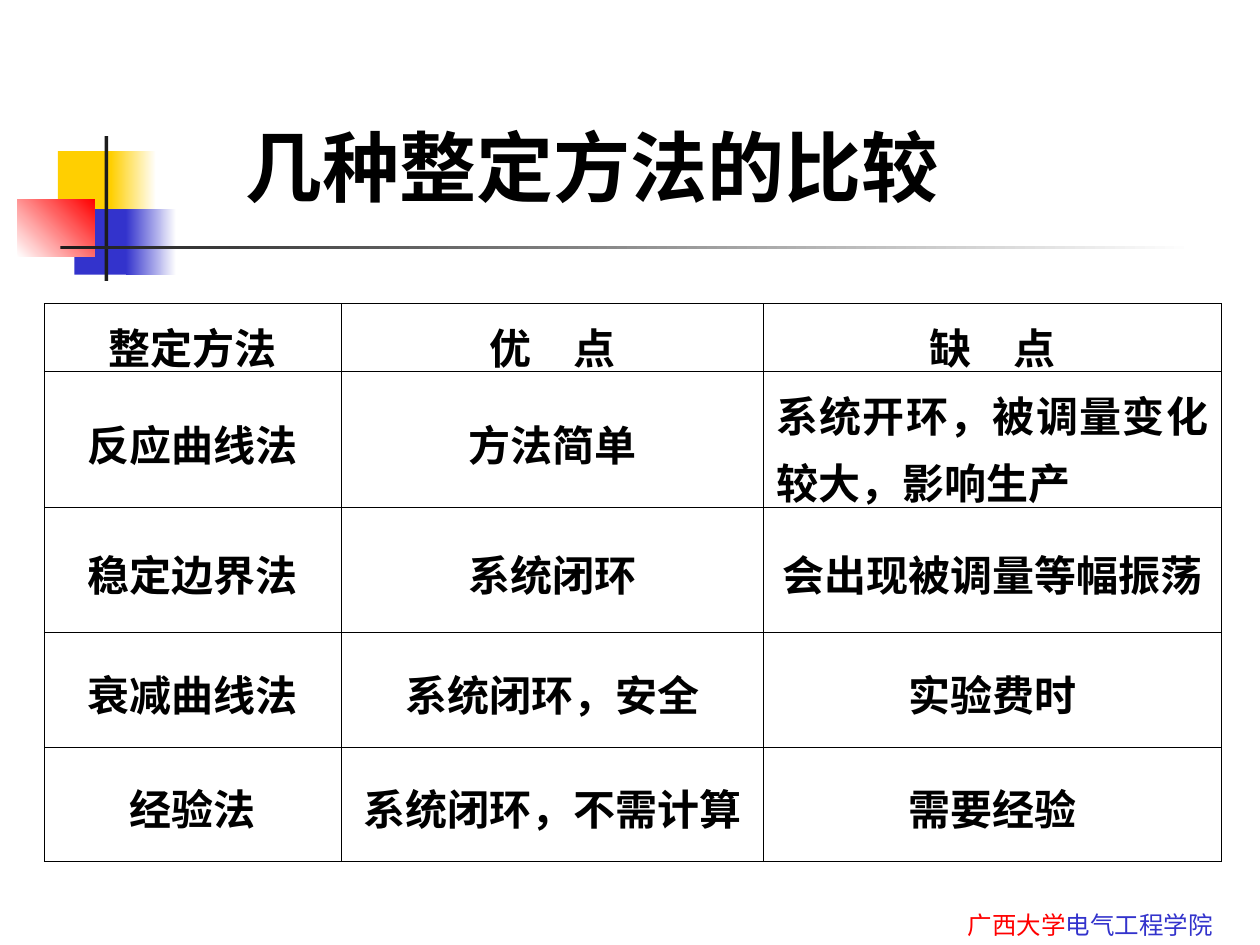
from lxml.etree import SubElement
from pptx import Presentation
from pptx.dml.color import RGBColor
from pptx.enum.shapes import MSO_SHAPE
from pptx.enum.text import MSO_ANCHOR, MSO_AUTO_SIZE, PP_ALIGN
from pptx.oxml.ns import qn
from pptx.util import Inches, Pt

COLORS = {
    "black": "000000",
    "ink": "1C1C1C",
    "white": "FFFFFF",
    "yellow": "FFCF01",
    "blue": "3333CC",
    "red": "FF0000",
}
CHINESE_FONT = "Noto Sans CJK SC"

TABLE_COLUMNS = [23.6, 33.5, 36.3]
TABLE_ROWS = [5.4, 10.8, 9.9, 9.1, 9.1]
COMPARISON = [
    ["整定方法", "优　点", "缺　点"],
    ["反应曲线法", "方法简单", "系统开环，被调量变化较大，影响生产"],
    ["稳定边界法", "系统闭环", "会出现被调量等幅振荡"],
    ["衰减曲线法", "系统闭环，安全", "实验费时"],
    ["经验法", "系统闭环，不需计算", "需要经验"],
]
JUSTIFIED_CELL = (1, 2)


def color(name):
    return RGBColor.from_string(COLORS[name])


def add_text(para, text, size, font, fill="black", bold=False):
    span = para.add_run()
    span.text = text
    span.font.size = Pt(size)
    span.font.bold = bold
    span.font.name = font
    span.font.color.rgb = color(fill)
    SubElement(span.font._element, qn("a:ea"), typeface=CHINESE_FONT)


class SlideBuilder:
    """Places elements on a grid of 100 columns by 75 rows."""

    def __init__(self, deck):
        self.unit = deck.slide_width / 100
        self.page = deck.slides.add_slide(deck.slide_layouts[6])

    def grid(self, *cells):
        return [round(cell * self.unit) for cell in cells]

    def block(self, place, start, end=None, angle=0):
        shape = self.page.shapes.add_shape(MSO_SHAPE.RECTANGLE, *self.grid(*place))
        shape.shadow.inherit = False
        shape.line.fill.background()
        if end is None:
            shape.fill.solid()
            shape.fill.fore_color.rgb = color(start)
            return
        shape.fill.gradient()
        shape.fill.gradient_angle = angle
        for stop, name in zip(shape.fill.gradient_stops, (start, end)):
            stop.color.rgb = color(name)

    def text(self, place, spans, align=PP_ALIGN.LEFT, wrap=True, **style):
        box = self.page.shapes.add_textbox(*self.grid(*place))
        frame = box.text_frame
        frame.word_wrap = wrap
        frame.auto_size = MSO_AUTO_SIZE.SHAPE_TO_FIT_TEXT
        para = frame.paragraphs[0]
        para.alignment = align
        for text, fill in spans:
            add_text(para, text, fill=fill, **style)

    def border(self, cell, width):
        properties = cell._tc.get_or_add_tcPr()
        for side in ("lnL", "lnR", "lnT", "lnB"):
            line = SubElement(properties, qn(f"a:{side}"), w=str(Pt(width)))
            fill = SubElement(line, qn("a:solidFill"))
            SubElement(fill, qn("a:srgbClr"), val=COLORS["black"])

    def table(self, left, top, columns, rows, content):
        place = self.grid(left, top, sum(columns), sum(rows))
        table = self.page.shapes.add_table(len(rows), len(columns), *place).table
        table.first_row = table.horz_banding = False
        for column, width in zip(table.columns, self.grid(*columns)):
            column.width = width
        for row, height in zip(table.rows, self.grid(*rows)):
            row.height = height
        for r, texts in enumerate(content):
            for c, text in enumerate(texts):
                cell = table.cell(r, c)
                self.border(cell, 0.45)
                cell.fill.background()
                cell.vertical_anchor = MSO_ANCHOR.MIDDLE
                para = cell.text_frame.paragraphs[0]
                justified = (r, c) == JUSTIFIED_CELL
                para.alignment = PP_ALIGN.JUSTIFY if justified else PP_ALIGN.CENTER
                para.line_spacing = 1.1
                add_text(para, text, size=24, font="Roboto", bold=True)


def main():
    deck = Presentation()
    deck.slide_width, deck.slide_height = Inches(10), Inches(7.5)
    slide = SlideBuilder(deck)

    # Overlapping colour blocks and the two rules
    slide.block((4.6, 12, 4.8, 5.2), "yellow")
    slide.block((8.8, 12, 3.6, 5.2), "yellow", "white")
    slide.block((5.9, 16.6, 4.6, 5.2), "blue")
    slide.block((10, 16.6, 4, 5.2), "blue", "white")
    slide.block((1.4, 15.8, 6.1, 4.6), "white", "red", angle=45)
    slide.block((8.3, 10.8, 0.3, 11.5), "ink")
    slide.block((4.8, 19.5, 90, 0.3), "ink", "white")

    # Footer
    slide.text((75.8, 71.7, 21.5, 3.4),
               [("广西大学", "red"), ("电气工程学院", "blue")],
               wrap=False, size=14, font="Arial Narrow")

    # Title
    slide.text((18.5, 9, 62.5, 8.4), [("几种整定方法的比较", "black")],
               align=PP_ALIGN.JUSTIFY, size=44, font=CHINESE_FONT, bold=True)

    # Comparison table
    slide.table(3.5, 24.1, TABLE_COLUMNS, TABLE_ROWS, COMPARISON)

    deck.save("out.pptx")


if __name__ == "__main__":
    main()
